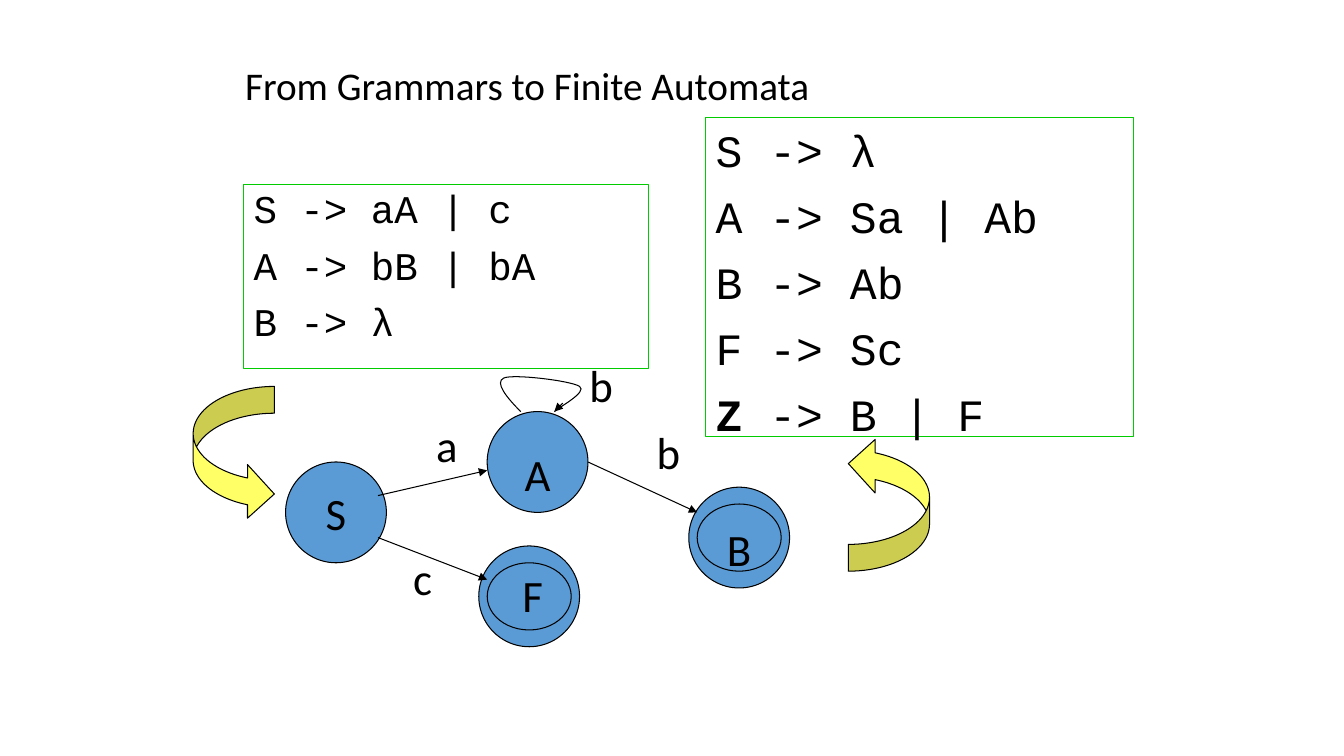
"""Build a slide that turns grammars into a finite automaton."""
from lxml.etree import SubElement
from pptx import Presentation
from pptx.dml.color import RGBColor
from pptx.enum.shapes import MSO_CONNECTOR, MSO_SHAPE
from pptx.enum.text import MSO_ANCHOR, PP_ALIGN
from pptx.oxml.ns import qn
from pptx.util import Pt


def color(value):
    return RGBColor.from_string(value)


def paint(shape, fill, line):
    shape.shadow.inherit = False
    if fill:
        shape.fill.solid()
        shape.fill.fore_color.rgb = color(fill)
    else:
        shape.fill.background()
    shape.line.color.rgb = color(line)
    shape.line.width = Pt(0.75)


BLACK, BLUE, YELLOW, GREEN = "000000", "5B9BD5", "FFFF66", "00CC00"

presentation = Presentation()
presentation.slide_width, presentation.slide_height = Pt(960), Pt(540)
slide = presentation.slides.add_slide(presentation.slide_layouts[6])
shapes = slide.shapes

title = shapes.add_textbox(Pt(168), Pt(18), Pt(612), Pt(90)).text_frame
title.word_wrap = True
title.vertical_anchor = MSO_ANCHOR.MIDDLE
title.text = "From Grammars to Finite Automata"
title.paragraphs[0].line_spacing = 0.9
title.paragraphs[0].font.name = "Calibri"
title.paragraphs[0].font.size = Pt(28)
title.paragraphs[0].font.color.rgb = color(BLACK)

right_linear = ["S -> aA | c", "A -> bB | bA", "B -> λ"]
left_linear = ["S -> λ", "A -> Sa | Ab", "B -> Ab", "F -> Sc", "Z -> B | F"]
grammars = [
    (174, 132, 289, 131, 28, 0.9, 10, right_linear),
    (504, 84, 306, 228, 32, 1, 8.8, left_linear),
]
for left, top, width, height, size, spacing, before, rules in grammars:
    box = shapes.add_shape(MSO_SHAPE.RECTANGLE, Pt(left), Pt(top), Pt(width), Pt(height))
    paint(box, None, GREEN)
    frame = box.text_frame
    frame.word_wrap = True
    frame.vertical_anchor = MSO_ANCHOR.TOP
    for number, rule in enumerate(rules):
        paragraph = frame.add_paragraph() if number else frame.paragraphs[0]
        paragraph.alignment = PP_ALIGN.LEFT
        paragraph.line_spacing = spacing
        paragraph.space_before = Pt(before)
        paragraph.font.name = "Courier New"
        paragraph.font.size = Pt(size)
        paragraph.font.color.rgb = color(BLACK)
        symbol = paragraph.add_run()
        symbol.text = rule[0]
        if rule[0] == "Z":
            symbol.font.bold = True
        paragraph.add_run().text = rule[1:]

states = [
    ("S", 204, 330, 72, 72, BLUE, 3.6),
    ("", 342, 390, 72, 72, BLUE, 3.6),
    ("A", 348, 294, 72, 72, BLUE, 19.6),
    ("B", 492, 348, 72, 72, BLUE, 19.6),
    ("", 348, 402, 60, 48, BLUE, 3.6),
    ("", 498, 360, 60, 48, None, 3.6),
]
for name, left, top, width, height, fill, margin in states:
    state = shapes.add_shape(MSO_SHAPE.OVAL, Pt(left), Pt(top), Pt(width), Pt(height))
    paint(state, fill, BLACK)
    if name:
        frame = state.text_frame
        frame.text = name
        frame.word_wrap = False
        frame.margin_top = Pt(margin)
        frame.vertical_anchor = MSO_ANCHOR.MIDDLE
        paragraph = frame.paragraphs[0]
        paragraph.alignment = PP_ALIGN.CENTER
        paragraph.font.name = "Calibri"
        paragraph.font.size = Pt(32)
        paragraph.font.color.rgb = color(BLACK)

labels = [("F", 366, 402), ("a", 304.5, 295), ("b", 462, 300), ("b", 414, 252), ("c", 288, 390)]
for letter, left, top in labels:
    frame = shapes.add_textbox(Pt(left), Pt(top), Pt(30), Pt(46)).text_frame
    frame.word_wrap = False
    frame.text = letter
    frame.paragraphs[0].font.name = "Calibri"
    frame.paragraphs[0].font.size = Pt(32)
    frame.paragraphs[0].font.color.rgb = color(BLACK)

loop_points = [
    (362, 284), (353, 273), (360, 270),
    (367, 267), (408, 272), (414, 276),
    (420, 280), (399, 291), (396, 294),
]
builder = shapes.build_freeform(Pt(372), Pt(294))
builder.add_line_segments([(Pt(x), Pt(y)) for x, y in loop_points], close=False)
loop = builder.convert_to_shape()
paint(loop, None, BLACK)
segments = list(loop.element.iter(qn("a:lnTo")))
for start in range(0, len(segments), 3):
    curve = SubElement(segments[start].getparent(), qn("a:cubicBezTo"))
    for segment in segments[start:start + 3]:
        curve.append(segment[0])
        segment.getparent().remove(segment)

transitions = [
    (270, 354, 348, 336),
    (270, 384, 348, 414),
    (420, 330, 498, 366),
    (402, 288, 396, 294),
]
for ends in transitions:
    arrow = shapes.add_connector(MSO_CONNECTOR.STRAIGHT, *[Pt(value) for value in ends])
    arrow.line.color.rgb = color(BLACK)
    arrow.line.width = Pt(0.75)
    SubElement(arrow.line._get_or_add_ln(), qn("a:tailEnd"), type="triangle")
    SubElement(arrow.element.spPr, qn("a:effectLst"))

turns = [
    (MSO_SHAPE.CURVED_RIGHT_ARROW, 138, 276),
    (MSO_SHAPE.CURVED_LEFT_ARROW, 606, 312),
]
for kind, left, top in turns:
    turn = shapes.add_shape(kind, Pt(left), Pt(top), Pt(58), Pt(96))
    paint(turn, YELLOW, BLACK)
    for index, value in enumerate((0.33, 0.66, 0.33)):
        turn.adjustments[index] = value
    if kind == MSO_SHAPE.CURVED_LEFT_ARROW:
        turn.element.spPr.xfrm.set("flipV", "1")

presentation.save("out.pptx")
